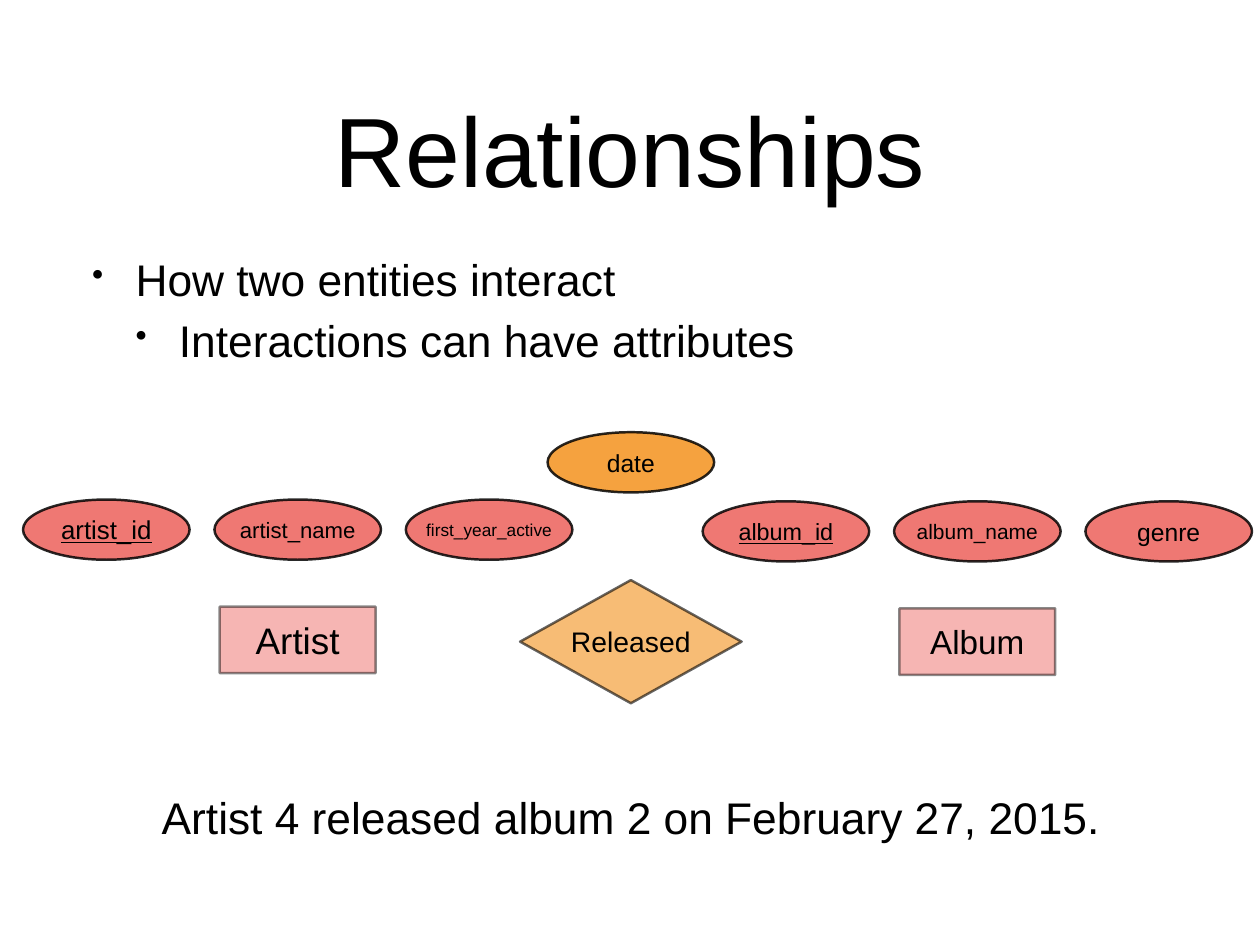
from pptx import Presentation
from pptx.dml.color import RGBColor
from pptx.enum.shapes import MSO_SHAPE
from pptx.enum.text import MSO_ANCHOR, PP_ALIGN
from pptx.oxml.ns import qn
from pptx.util import Inches, Pt
from lxml.etree import SubElement

TITLE = "Relationships"
BULLETS = [("How two entities interact", 0), ("Interactions can have attributes", 1)]
ENTITIES = [
    {"name": "Artist", "size": 30, "left": 0.26, "top": 5.64,
     "attributes": [("artist_id", 21, True), ("artist_name", 18, False),
                    ("first_year_active", 14, False)]},
    {"name": "Album", "size": 27, "left": 7.93, "top": 5.66,
     "attributes": [("album_id", 19, True), ("album_name", 17, False),
                    ("genre", 20, False)]},
]
RELATIONSHIP = ("Released", 23)
RELATIONSHIP_ATTRIBUTE = ("date", 20)
EXAMPLE = "Artist 4 released album 2 on February 27, 2015."

RED, ORANGE, BLACK = "EC5D57", "F39019", "000000"
SLIDE_WIDTH, SLIDE_HEIGHT = 14.22, 10.67
OVAL_WIDTH, OVAL_HEIGHT, OVAL_PITCH = 1.88, 0.68, 2.16
ENTITY_WIDTH, ENTITY_HEIGHT, ENTITY_DROP = 1.76, 0.75, 1.21
DIAMOND_WIDTH, DIAMOND_HEIGHT = 2.5, 1.39
BULLET_STEP = 0.49
MIDDLE = 7.12


def color(value):
    return RGBColor.from_string(value)


def apply(target, values):
    for key, value in values.items():
        setattr(target, key, value)


def set_frame(frame, inset=0.06, **values):
    margins = dict.fromkeys(
        ("margin_left", "margin_top", "margin_right", "margin_bottom"), Inches(inset))
    apply(frame, {**margins, "vertical_anchor": MSO_ANCHOR.MIDDLE,
                  "word_wrap": False, **values})


def write(paragraph, words, size, underline=None, align=PP_ALIGN.CENTER):
    run = paragraph.add_run()
    run.text = words
    paragraph.alignment = align
    apply(run.font, {"name": "Arial", "size": Pt(size), "underline": underline})
    run.font.color.rgb = color(BLACK)


def add_node(slide, kind, box, fill, opacity, words, size, underline=None):
    node = slide.shapes.add_shape(kind, *map(Inches, box))
    node.shadow.inherit = False
    node.fill.solid()
    node.fill.fore_color.rgb = color(fill)
    node.line.color.rgb = color(BLACK)
    node.line.width = Pt(2)
    for tint in list(node._element.spPr.iter(qn("a:srgbClr"))):
        SubElement(tint, qn("a:alpha")).set("val", str(opacity * 1000))
    set_frame(node.text_frame)
    write(node.text_frame.paragraphs[0], words, size, underline)


def add_bullet(paragraph, words, level):
    paragraph.level = level
    if level:
        paragraph.space_before = Pt(6)
    write(paragraph, words, 36, align=PP_ALIGN.LEFT)
    properties = paragraph._p.get_or_add_pPr()
    properties.set("marL", str(Inches(BULLET_STEP * (level + 1))))
    properties.set("indent", str(-Inches(BULLET_STEP)))
    SubElement(properties, qn("a:buSzPct")).set("val", "75000")
    SubElement(properties, qn("a:buChar")).set("char", "•")


def add_entity(slide, entity):
    left, top = entity["left"], entity["top"]
    for column, (words, size, is_key) in enumerate(entity["attributes"]):
        add_node(slide, MSO_SHAPE.OVAL,
                 (left + column * OVAL_PITCH, top, OVAL_WIDTH, OVAL_HEIGHT),
                 RED, 83, words, size, is_key or None)
    center = left + OVAL_PITCH + OVAL_WIDTH / 2
    add_node(slide, MSO_SHAPE.RECTANGLE,
             (center - ENTITY_WIDTH / 2, top + ENTITY_DROP, ENTITY_WIDTH, ENTITY_HEIGHT),
             RED, 45, entity["name"], entity["size"])


def main():
    deck = Presentation()
    apply(deck, {"slide_width": Inches(SLIDE_WIDTH), "slide_height": Inches(SLIDE_HEIGHT)})
    slide = deck.slides.add_slide(deck.slide_layouts[5])

    title = slide.shapes.title
    apply(title, {"left": Inches(1.04), "top": Inches(0.49),
                  "width": Inches(12.14), "height": Inches(2.36)})
    set_frame(title.text_frame, 0, word_wrap=True)
    write(title.text_frame.paragraphs[0], TITLE, 80)

    points = slide.shapes.add_textbox(*map(Inches, (1.04, 2.85, 12.14, 1.6))).text_frame
    set_frame(points, 0, word_wrap=True, vertical_anchor=MSO_ANCHOR.TOP)
    for row, (words, level) in enumerate(BULLETS):
        add_bullet(points.add_paragraph() if row else points.paragraphs[0], words, level)

    for entity in ENTITIES:
        add_entity(slide, entity)
    add_node(slide, MSO_SHAPE.DIAMOND,
             (MIDDLE - DIAMOND_WIDTH / 2, 6.55, DIAMOND_WIDTH, DIAMOND_HEIGHT),
             ORANGE, 60, *RELATIONSHIP)
    add_node(slide, MSO_SHAPE.OVAL,
             (MIDDLE - OVAL_WIDTH / 2, 4.88, OVAL_WIDTH, OVAL_HEIGHT),
             ORANGE, 83, *RELATIONSHIP_ATTRIBUTE)

    example = slide.shapes.add_textbox(*map(Inches, (1.73, 8.87, 10.78, 0.71))).text_frame
    set_frame(example)
    write(example.paragraphs[0], EXAMPLE, 36)

    deck.save("out.pptx")


if __name__ == "__main__":
    main()
